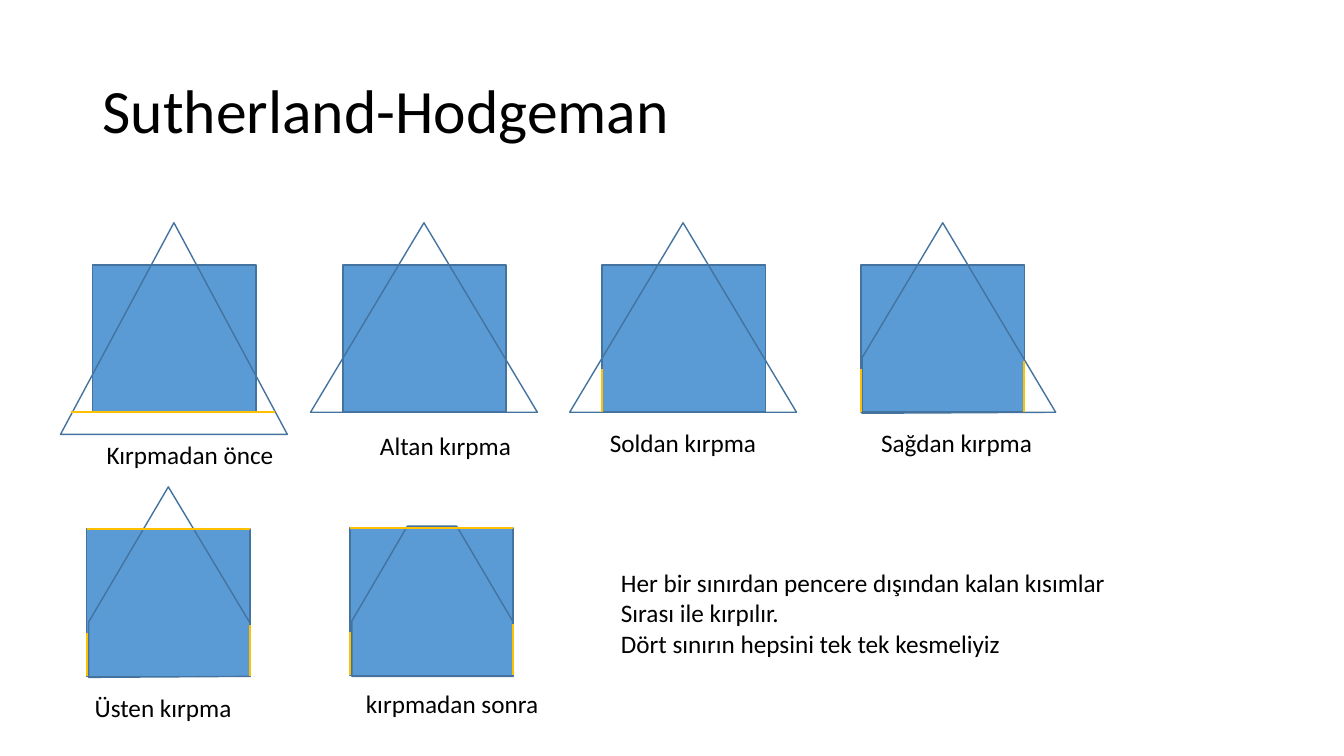
from lxml.etree import SubElement
from pptx import Presentation
from pptx.dml.color import RGBColor
from pptx.enum.shapes import MSO_CONNECTOR, MSO_SHAPE
from pptx.enum.text import MSO_ANCHOR
from pptx.oxml.ns import qn
from pptx.util import Pt

EMU_PER_PX = 9144  # 100 px to the inch
BLUE = RGBColor(0x5B, 0x9B, 0xD5)
DARK_BLUE = RGBColor(0x43, 0x73, 0x9E)
GOLD = RGBColor(0xFF, 0xC0, 0x00)
BLACK = RGBColor(0x00, 0x00, 0x00)

WINDOW_WIDTH, WINDOW_HEIGHT = 162, 146

# Clipped edges, relative to the top left corner of the window
BOTTOM_CUT = (-22, 146, 181, 146)
LEFT_CUT = (0, 103, 0, 146)
RIGHT_CUT = (162, 95, 162, 146)
TOP_CUT = (162, 0, 0, 0)

# Whole triangles as left, top, width, height; clipped ones as corner points
FULL_TRIANGLE = (-32, -42, 225, 210)
BOTTOM_CLIPPED = (-32, -42, 225, 188)
LEFT_CLIPPED = [(1, 147), (1, 92), (81, -42), (193, 146)]
RIGHT_CLIPPED = [(2, 147), (2, 92), (81, -42), (162, 93), (162, 146)]
TOP_CLIPPED = [(2, 147), (2, 92), (57, -2), (106, -2), (162, 93), (162, 147)]

# Window left and top, outline, cuts, caption, caption box
STAGES = [
    (92, 263, FULL_TRIANGLE, [BOTTOM_CUT], "Kırpmadan önce", (96, 431, 188, 40)),
    (340, 263, BOTTOM_CLIPPED, [], "Altan kırpma", (367, 422, 151, 40)),
    (597, 263, BOTTOM_CLIPPED, [LEFT_CUT], "Soldan kırpma", (595, 419, 167, 40)),
    (854, 263, LEFT_CLIPPED, [LEFT_CUT, RIGHT_CUT], "Sağdan kırpma", (864, 419, 172, 40)),
    (86, 525, RIGHT_CLIPPED, [LEFT_CUT, RIGHT_CUT, TOP_CUT], "Üsten kırpma", (84, 682, 157, 40)),
    (347, 524, TOP_CLIPPED, [LEFT_CUT, RIGHT_CUT, TOP_CUT], "kırpmadan sonra", (353, 678, 193, 40)),
]
EXPLANATION = [
    "Her bir sınırdan pencere dışından kalan kısımlar",
    "Sırası ile kırpılır.",
    "Dört sınırın hepsini tek tek kesmeliyiz",
]


def px(*lengths):
    return [length * EMU_PER_PX for length in lengths]


class ClippingSlide:
    font_name = "Calibri"

    def __init__(self, presentation):
        self.slide = presentation.slides.add_slide(presentation.slide_layouts[6])
        self.shapes = self.slide.shapes

    def style(self, shape, fill=None):
        shape.shadow.inherit = False
        if fill is None:
            shape.fill.background()
        else:
            shape.fill.solid()
            shape.fill.fore_color.rgb = fill
        shape.line.color.rgb = DARK_BLUE
        shape.line.width = Pt(1)

    def preset(self, kind, box, fill=None):
        self.style(self.shapes.add_shape(kind, *px(*box)), fill)

    def polygon(self, points):
        builder = self.shapes.build_freeform(*points[0], scale=EMU_PER_PX)
        builder.add_line_segments(points[1:], close=True)
        self.style(builder.convert_to_shape())

    def cut(self, ends):
        connector = self.shapes.add_connector(MSO_CONNECTOR.STRAIGHT, *px(*ends))
        connector.line.color.rgb = GOLD
        connector.line.width = Pt(1.5)
        SubElement(connector._element.spPr, qn("a:effectLst"))

    def text(self, lines, box, size=18, wrap=False, anchor=MSO_ANCHOR.TOP, spacing=1.0):
        text_frame = self.shapes.add_textbox(*px(*box)).text_frame
        text_frame.word_wrap = wrap
        text_frame.vertical_anchor = anchor
        text_frame.text = "\n".join(lines)
        for paragraph in text_frame.paragraphs:
            paragraph.line_spacing = spacing
            for run in paragraph.runs:
                run.font.name = self.font_name
                run.font.size = Pt(size)
                run.font.color.rgb = BLACK

    def stage(self, left, top, outline, cuts, caption, caption_box):
        """Draw one clipping step: window, triangle, cut edges and caption."""
        self.preset(MSO_SHAPE.RECTANGLE, (left, top, WINDOW_WIDTH, WINDOW_HEIGHT), BLUE)
        if isinstance(outline, tuple):
            x, y, width, height = outline
            self.preset(MSO_SHAPE.ISOSCELES_TRIANGLE, (left + x, top + y, width, height))
        else:
            self.polygon([(left + x, top + y) for x, y in outline])
        for x1, y1, x2, y2 in cuts:
            self.cut((left + x1, top + y1, left + x2, top + y2))
        self.text([caption], caption_box)


def main():
    presentation = Presentation()
    presentation.slide_width, presentation.slide_height = px(1333, 750)
    slide = ClippingSlide(presentation)
    slide.text(["Sutherland-Hodgeman"], (92, 40, 1150, 145), size=44,
               wrap=True, anchor=MSO_ANCHOR.MIDDLE, spacing=0.9)
    for stage in STAGES:
        slide.stage(*stage)
    slide.text(EXPLANATION, (606, 558, 506, 101))
    presentation.save("out.pptx")


if __name__ == "__main__":
    main()
